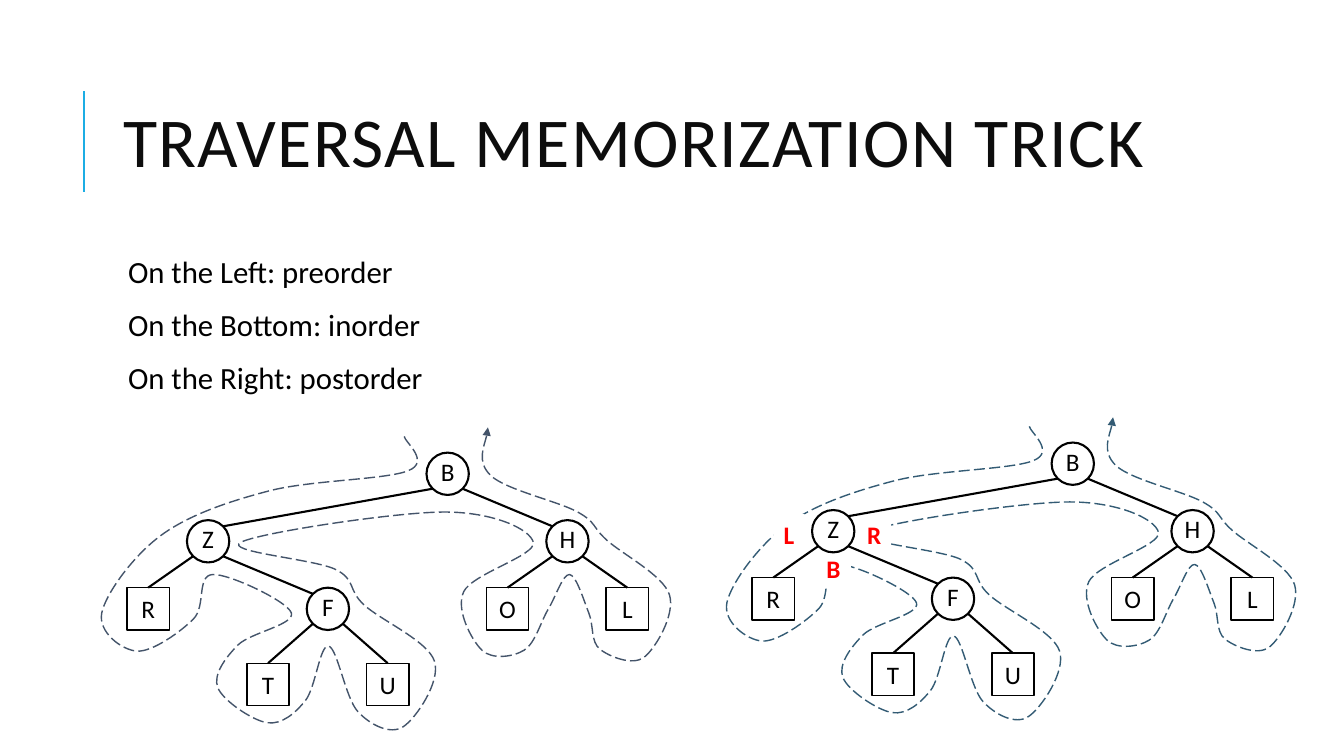
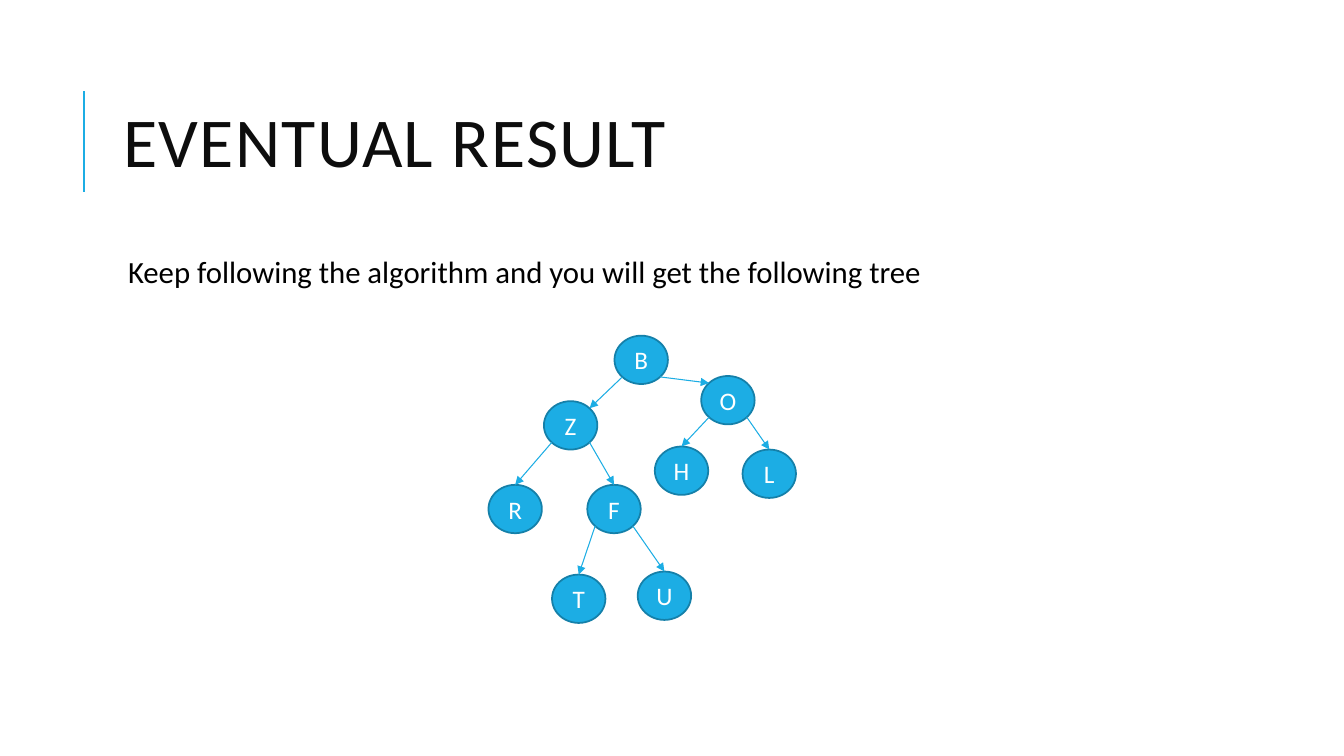
from dataclasses import dataclass
from itertools import chain

from lxml.etree import SubElement
from pptx import Presentation
from pptx.dml.color import RGBColor
from pptx.enum.dml import MSO_LINE
from pptx.enum.shapes import MSO_CONNECTOR, MSO_SHAPE
from pptx.enum.text import MSO_ANCHOR, MSO_AUTO_SIZE, PP_ALIGN
from pptx.oxml.ns import qn
from pptx.shapes.autoshape import Shape
from pptx.shapes.connector import Connector
from pptx.shapes.shapetree import GroupShapes
from pptx.slide import Slide
from pptx.text.text import _Paragraph
from pptx.util import Inches, Pt

BLACK = RGBColor(0x00, 0x00, 0x00)
WHITE = RGBColor(0xFF, 0xFF, 0xFF)
RED = RGBColor(0xFF, 0x00, 0x00)
TITLE_INK = RGBColor(0x0D, 0x0D, 0x0D)
ACCENT = RGBColor(0x1C, 0xAD, 0xE4)
ACCENT_DARK = RGBColor(0x15, 0x80, 0xA9)
SLATE = RGBColor(0x44, 0x54, 0x6A)
TEAL = RGBColor(0x33, 0x5B, 0x74)
FONT = "Calibri"
DIAGONAL = 0.707  # where 45 degrees meets an ellipse


@dataclass(frozen=True)
class Node:
    key: str
    x: float  # centre
    y: float
    parent: str = ""
    top_entry: bool = True  # edge enters at the top, else at the near corner
    square: bool = False


@dataclass(frozen=True)
class TreeStyle:
    width: float
    height: float
    fill: RGBColor
    outline: RGBColor
    text: RGBColor
    edge: RGBColor
    edge_weight: float
    circle_weight: float
    square_weight: float = 1
    arrows: bool = False
    tight: bool = False  # no wrapping, almost no insets


@dataclass(frozen=True)
class Traversal:
    dx: float
    dy: float
    color: RGBColor
    square_weight: float
    labels: tuple[tuple[str, float, float, float], ...] = ()  # text, left, top, width


# Expression tree: columns follow inorder rank, rows follow depth
COLUMN_X, COLUMN_STEP = 1.47, 0.594
ROW_Y = (4.7, 5.37, 6.04, 6.79)
INORDER = "RZTFUBOHL"
DEPTH = dict(B=0, Z=1, H=1, R=2, F=2, O=2, L=2, T=3, U=3)
PARENT = dict(Z="B", H="B", R="Z", F="Z", O="H", L="H", T="F", U="F")
LEAVES = "RTUOL"

# Points the dashed walk passes through
WALK = [
    (4.01, 4.33), (4.05, 4.67), (2.67, 4.87), (1.6, 5.31), (1.01, 6.08), (1.36, 6.46),
    (1.92, 6.14), (2.11, 5.7), (2.89, 6.08), (2.36, 6.4), (2.16, 6.82), (2.65, 7.17),
    (3.03, 6.95), (3.26, 6.41), (3.55, 7.06), (4, 7.21), (4.31, 6.56), (3.61, 6),
    (3.33, 5.65), (2.39, 5.38), (4.41, 5.08), (5.29, 5.38), (4.6, 5.87), (4.78, 6.45),
    (5.2, 6.45), (5.44, 6.04), (5.65, 5.7), (5.84, 6.08), (5.95, 6.44), (6.39, 6.52),
    (6.64, 5.9), (6.02, 5.36), (5.73, 5.08), (4.87, 4.72), (4.84, 4.24),
]

TRAVERSALS = (
    Traversal(0, 0, SLATE, 1),
    Traversal(6.2, -0.1, TEAL, 1.25, (
        ("L", 7.67, 5.1, 0.31), ("B", 8.09, 5.44, 0.35), ("R", 8.5, 5.1, 0.34))),
)

RESULT_STYLE = TreeStyle(0.53, 0.48, ACCENT, ACCENT_DARK, WHITE, ACCENT, 0.75, 1.25,
                         arrows=True)
RESULT_NODES = [
    Node("B", 6.36, 3.57),
    Node("Z", 5.66, 4.22, "B", top_entry=False),
    Node("R", 5.11, 5.05, "Z"),
    Node("F", 6.09, 5.05, "Z"),
    Node("T", 5.74, 5.94, "F"),
    Node("U", 6.59, 5.91, "F"),
    Node("O", 7.22, 3.97, "B", top_entry=False),
    Node("H", 6.76, 4.67, "O"),
    Node("L", 7.63, 4.7, "O"),
]


def add_run(paragraph: _Paragraph, text: str, size: float, color: RGBColor,
            bold: bool = False, spacing: int = 0) -> None:
    run = paragraph.add_run()
    run.text = text
    run.font.name, run.font.size, run.font.bold = FONT, Pt(size), bold
    run.font.color.rgb = color
    if spacing:
        run._r.get_or_add_rPr().set("spc", str(spacing))


def add_arrowhead(item: Shape | Connector) -> None:
    SubElement(item.line._get_or_add_ln(), qn("a:tailEnd"), type="triangle")


def add_line(shapes: GroupShapes, start: tuple[float, float], end: tuple[float, float],
             color: RGBColor, weight: float) -> Connector:
    line = shapes.add_connector(MSO_CONNECTOR.STRAIGHT,
                                *(Inches(v) for v in (*start, *end)))
    line.line.color.rgb, line.line.width = color, Pt(weight)
    SubElement(line._element.spPr, qn("a:effectLst"))
    return line


def add_node(shapes: GroupShapes, node: Node, style: TreeStyle) -> Shape:
    shape = shapes.add_shape(
        MSO_SHAPE.RECTANGLE if node.square else MSO_SHAPE.OVAL,
        Inches(node.x - style.width / 2), Inches(node.y - style.height / 2),
        Inches(style.width), Inches(style.height))
    shape.shadow.inherit = False
    shape.fill.solid()
    shape.fill.fore_color.rgb = style.fill
    shape.line.color.rgb = style.outline
    shape.line.width = Pt(style.square_weight if node.square else style.circle_weight)
    frame = shape.text_frame
    frame.vertical_anchor = MSO_ANCHOR.MIDDLE
    frame.word_wrap = not style.tight
    if style.tight and not node.square:
        frame.margin_left = frame.margin_right = frame.margin_top = 0
        frame.margin_bottom = Inches(0.05)
    frame.paragraphs[0].alignment = PP_ALIGN.CENTER
    add_run(frame.paragraphs[0], node.key, 18, style.text)
    return shape


def add_tree(shapes: GroupShapes, nodes: list[Node], style: TreeStyle) -> None:
    drawn = {node.key: add_node(shapes, node, style) for node in nodes}
    by_key = {node.key: node for node in nodes}
    corner_x, corner_y = style.width / 2 * DIAGONAL, style.height / 2 * DIAGONAL
    for node in nodes:
        if not node.parent:
            continue
        parent = by_key[node.parent]
        side = 1 if node.x > parent.x else -1
        start = (parent.x + side * corner_x, parent.y + corner_y)
        if node.top_entry:
            end = (node.x, node.y - style.height / 2)
        else:
            end = (node.x - side * corner_x, node.y - corner_y)
        edge = add_line(shapes, start, end, style.edge, style.edge_weight)
        if node.top_entry:
            edge.end_connect(drawn[node.key], 0)
        if style.arrows:
            add_arrowhead(edge)


def smooth(outline: Shape) -> None:
    """Turn the straight segments into a Catmull-Rom curve."""
    path_xml = outline._element.find(".//" + qn("a:path"))
    points = [(int(p.get("x")), int(p.get("y"))) for p in path_xml.iter(qn("a:pt"))]
    padded = [points[0], *points, points[-1]]
    for i, segment in enumerate(path_xml.findall(qn("a:lnTo"))):
        before, start, end, after = padded[i:i + 4]
        leaving = [s + (e - b) / 6 for b, s, e in zip(before, start, end)]
        arriving = [e - (a - s) / 6 for s, e, a in zip(start, end, after)]
        curve = SubElement(path_xml, qn("a:cubicBezTo"))
        for x, y in (leaving, arriving, end):
            SubElement(curve, qn("a:pt"), x=str(round(x)), y=str(round(y)))
        path_xml.replace(segment, curve)


def add_walk(shapes: GroupShapes, traversal: Traversal) -> None:
    points = [(Inches(x + traversal.dx), Inches(y + traversal.dy)) for x, y in WALK]
    builder = shapes.build_freeform(*points[0])
    builder.add_line_segments(points[1:], close=False)
    walk = builder.convert_to_shape()
    smooth(walk)
    walk.shadow.inherit = False
    walk.fill.background()
    walk.line.color.rgb, walk.line.width = traversal.color, Pt(1)
    walk.line.dash_style = MSO_LINE.LONG_DASH
    add_arrowhead(walk)


def add_visit_label(shapes: GroupShapes, text: str, left: float, top: float,
                    width: float) -> None:
    label = shapes.add_textbox(Inches(left), Inches(top), Inches(width), Inches(0.4))
    label.fill.solid()
    label.fill.fore_color.rgb = WHITE
    frame = label.text_frame
    frame.word_wrap = False
    frame.auto_size = MSO_AUTO_SIZE.SHAPE_TO_FIT_TEXT
    frame.paragraphs[0].alignment = PP_ALIGN.CENTER
    add_run(frame.paragraphs[0], text, 18, RED, bold=True)


def add_traversal(slide: Slide, traversal: Traversal) -> None:
    shapes = slide.shapes.add_group_shape().shapes
    nodes = [
        Node(key, COLUMN_X + COLUMN_STEP * column + traversal.dx,
             ROW_Y[DEPTH[key]] + traversal.dy, PARENT.get(key, ""),
             top_entry=key in LEAVES, square=key in LEAVES)
        for column, key in enumerate(INORDER)
    ]
    style = TreeStyle(0.42, 0.42, WHITE, BLACK, BLACK, BLACK, 1.5, 1.5,
                      traversal.square_weight, tight=True)
    add_walk(shapes, traversal)
    for label in traversal.labels:
        add_visit_label(shapes, *label)
    add_tree(shapes, nodes, style)


def place(shape: Shape, left: float, top: float, width: float, height: float) -> None:
    shape.left, shape.top = Inches(left), Inches(top)
    shape.width, shape.height = Inches(width), Inches(height)
    shape.text_frame.auto_size = MSO_AUTO_SIZE.NONE
    shape.text_frame.word_wrap = True


def add_content_slide(deck: Presentation, heading: str, lines: list[str]) -> Slide:
    slide = deck.slides.add_slide(deck.slide_layouts[1])
    add_line(slide.shapes, (0.83, 1.9), (0.83, 0.9), ACCENT, 1.5)

    # Title
    title = slide.shapes.title
    place(title, 1.12, 0.64, 10.63, 1.64)
    title.text_frame.vertical_anchor = MSO_ANCHOR.MIDDLE
    paragraph = title.text_frame.paragraphs[0]
    paragraph.alignment, paragraph.line_spacing = PP_ALIGN.LEFT, 0.8
    add_run(paragraph, heading.upper(), 50, TITLE_INK, spacing=100)

    # Body lines without bullets
    body = slide.placeholders[1]
    place(body, 1.12, 2.5, 10.63, 4.4)
    frame = body.text_frame
    frame.margin_left = frame.margin_right = Inches(0.05)
    frame.margin_top = frame.margin_bottom = Inches(0.05)
    added = (frame.add_paragraph() for _ in lines[1:])
    for paragraph, line in zip(chain(frame.paragraphs[:1], added), lines):
        paragraph.line_spacing = 0.9
        paragraph.space_before, paragraph.space_after = Pt(12), Pt(2)
        properties = paragraph._p.get_or_add_pPr()
        properties.set("marL", str(Inches(0.1)))
        properties.set("indent", "0")
        SubElement(properties, qn("a:buNone"))
        add_run(paragraph, line, 22, BLACK)
    return slide


def main() -> None:
    deck = Presentation()
    deck.slide_width, deck.slide_height = Inches(13.33), Inches(7.5)

    trick = add_content_slide(deck, "Traversal memorization trick", [
        "On the Left: preorder", "On the Bottom: inorder", "On the Right: postorder"])
    for traversal in TRAVERSALS:
        add_traversal(trick, traversal)

    result = add_content_slide(deck, "Eventual result", [
        "Keep following the algorithm and you will get the following tree"])
    add_tree(result.shapes, RESULT_NODES, RESULT_STYLE)

    deck.save("out.pptx")


if __name__ == "__main__":
    main()
